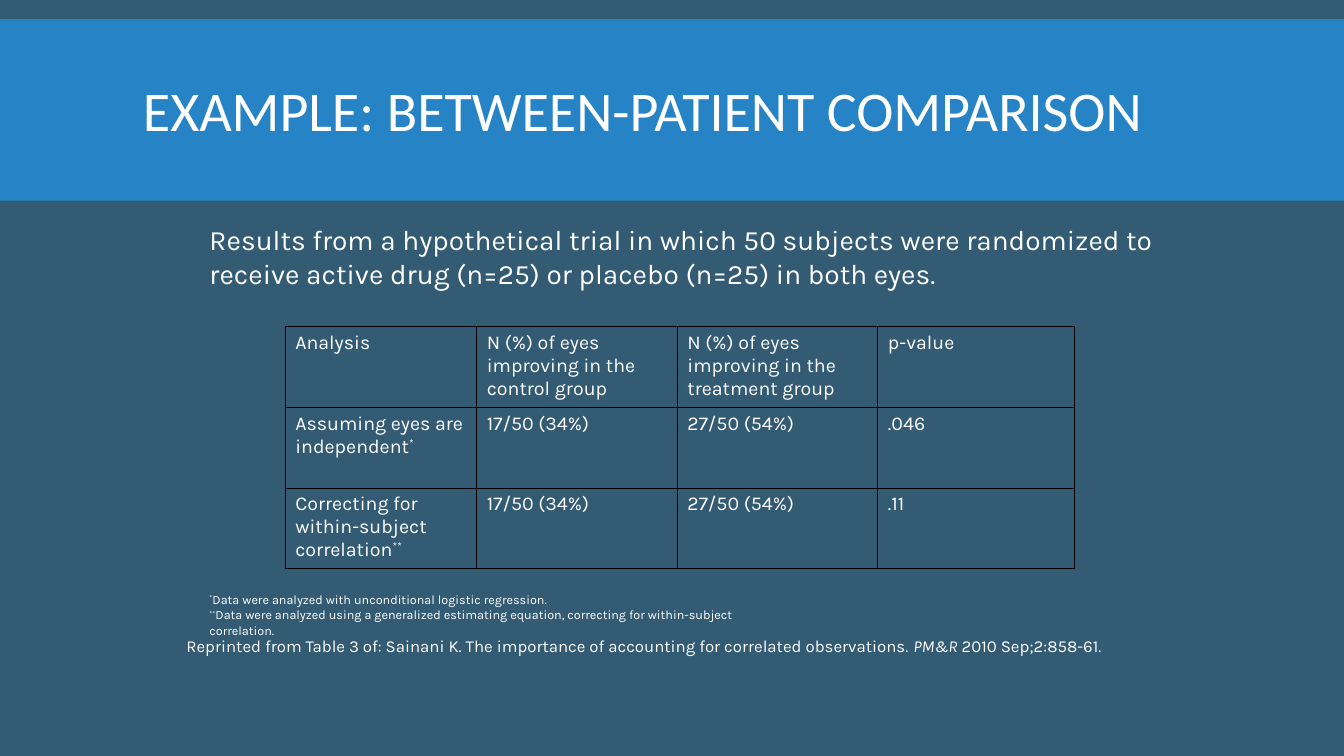
from dataclasses import dataclass

from lxml.etree import SubElement
from pptx import Presentation
from pptx.dml.color import RGBColor
from pptx.enum.shapes import MSO_SHAPE
from pptx.enum.text import MSO_ANCHOR
from pptx.oxml.ns import qn
from pptx.slide import Slide
from pptx.table import _Cell
from pptx.text.text import TextFrame
from pptx.util import Pt

COLORS = {"background": "335B74", "band": "2683C6", "text": "FFFFFF", "border": "000000"}
SLIDE_WIDTH, SLIDE_HEIGHT = 960, 540
THIN, THICK = 0.75, 1


@dataclass(frozen=True)
class Span:
    text: str
    superscript: bool = False
    italic: bool = False


Paragraphs = list[list[Span]]


@dataclass(frozen=True)
class TextBlock:
    left: float
    top: float
    width: float
    height: float
    size: float
    paragraphs: Paragraphs
    font: str = "Karla"
    line_spacing: float = 1.0


TEXT_BLOCKS = [
    TextBlock(95.04, 22.32, 770.4, 118.8, 40,
              [[Span("EXAMPLE: BETWEEN-PATIENT COMPARISON")]], "Calibri", 0.85),
    TextBlock(142.56, 155.52, 719.28, 55.44, 20,
              [[Span("Results from a hypothetical trial in which 50 subjects were randomized to "
                     "receive active drug (n=25) or placebo (n=25) in both eyes.")]]),
    TextBlock(142.56, 424.8, 430.56, 28.8, 9, [
        [Span("*", superscript=True),
         Span("Data were analyzed with unconditional logistic regression.")],
        [Span("**", superscript=True),
         Span("Data were analyzed using a generalized estimating equation, "
              "correcting for within-subject correlation.")],
    ]),
    TextBlock(126, 450.72, 714.24, 21.6, 12, [
        [Span("Reprinted from Table 3 of: Sainani K. The importance of accounting "
              "for correlated observations. "),
         Span("PM&R", italic=True), Span(" 2010 Sep;2:858-61.")],
    ]),
]

TABLE_LEFT, TABLE_TOP = 203.76, 233.28
COLUMN_WIDTHS = [136.8, 143.28, 143.28, 140.4]
ROW_HEIGHT = 57.6
RULE_WIDTHS = [THICK, THICK, THIN, THICK]
TABLE_ROWS: list[list[Paragraphs]] = [
    [[[Span("Analysis")]],
     [[Span("N (%) of eyes improving in the")], [Span("control group")]],
     [[Span("N (%) of eyes improving in the")], [Span("treatment group")]],
     [[Span("p-value")]]],
    [[[Span("Assuming eyes are independent"), Span("*", superscript=True)]],
     [[Span("17/50 (34%)")]], [[Span("27/50 (54%)")]], [[Span(".046")]]],
    [[[Span("Correcting for within-subject correlation"), Span("**", superscript=True)]],
     [[Span("17/50 (34%)")]], [[Span("27/50 (54%)")]], [[Span(".11")]]],
]


def color(name: str) -> RGBColor:
    return RGBColor.from_string(COLORS[name])


def write_text(text_frame: TextFrame, paragraphs: Paragraphs, size: float,
               font: str = "Karla", line_spacing: float = 1.0) -> None:
    text_frame.word_wrap = True
    for index, spans in enumerate(paragraphs):
        paragraph = text_frame.add_paragraph() if index else text_frame.paragraphs[0]
        paragraph.line_spacing = line_spacing
        for span in spans:
            run = paragraph.add_run()
            run.text = span.text
            run.font.name = font
            run.font.size = Pt(size)
            run.font.color.rgb = color("text")
            if span.italic:
                run.font.italic = True
            if span.superscript:
                run._r.get_or_add_rPr().set("baseline", "30000")


def add_band(slide: Slide) -> None:
    band = slide.shapes.add_shape(MSO_SHAPE.RECTANGLE, 0, Pt(13.68), Pt(SLIDE_WIDTH), Pt(129.6))
    band.shadow.inherit = False
    band.fill.solid()
    band.fill.fore_color.rgb = color("band")
    band.line.fill.background()


def add_text_block(slide: Slide, block: TextBlock) -> None:
    shape = slide.shapes.add_textbox(Pt(block.left), Pt(block.top), Pt(block.width), Pt(block.height))
    shape.text_frame.vertical_anchor = MSO_ANCHOR.MIDDLE
    write_text(shape.text_frame, block.paragraphs, block.size, block.font, block.line_spacing)


def set_borders(cell: _Cell, top: float, bottom: float) -> None:
    properties = cell._tc.get_or_add_tcPr()
    for side, width in (("L", THIN), ("R", THIN), ("T", top), ("B", bottom)):
        line = SubElement(properties, qn(f"a:ln{side}"), w=str(Pt(width)))
        fill = SubElement(line, qn("a:solidFill"))
        SubElement(fill, qn("a:srgbClr"), val=COLORS["border"])


def add_results_table(slide: Slide) -> None:
    table = slide.shapes.add_table(
        len(TABLE_ROWS), len(COLUMN_WIDTHS), Pt(TABLE_LEFT), Pt(TABLE_TOP),
        Pt(sum(COLUMN_WIDTHS)), Pt(ROW_HEIGHT * len(TABLE_ROWS))).table
    table.first_row = False
    table.horz_banding = False
    for column, width in zip(table.columns, COLUMN_WIDTHS):
        column.width = Pt(width)
    for row_index, row in enumerate(TABLE_ROWS):
        table.rows[row_index].height = Pt(ROW_HEIGHT)
        for column_index, paragraphs in enumerate(row):
            cell = table.cell(row_index, column_index)
            set_borders(cell, RULE_WIDTHS[row_index], RULE_WIDTHS[row_index + 1])
            cell.fill.background()
            write_text(cell.text_frame, paragraphs, 14)


def main() -> None:
    presentation = Presentation()
    presentation.slide_width = Pt(SLIDE_WIDTH)
    presentation.slide_height = Pt(SLIDE_HEIGHT)
    slide = presentation.slides.add_slide(presentation.slide_layouts[6])
    slide.background.fill.solid()
    slide.background.fill.fore_color.rgb = color("background")
    add_band(slide)
    for block in TEXT_BLOCKS:
        add_text_block(slide, block)
    add_results_table(slide)
    presentation.save("out.pptx")


if __name__ == "__main__":
    main()
